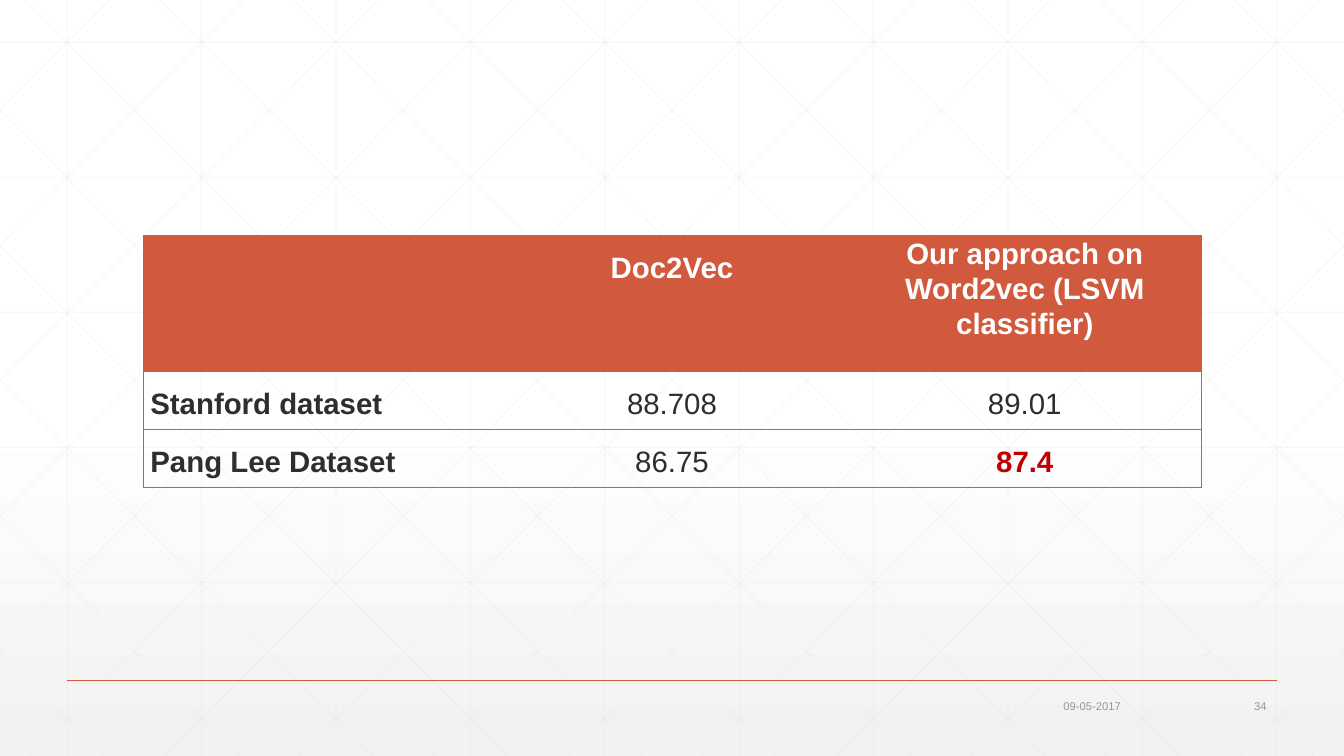
from lxml.etree import SubElement
from pptx import Presentation
from pptx.dml.color import RGBColor
from pptx.enum.shapes import MSO_CONNECTOR
from pptx.enum.text import MSO_ANCHOR, PP_ALIGN
from pptx.oxml.ns import qn
from pptx.util import Cm, Pt

WHITE = RGBColor(0xFF, 0xFF, 0xFF)
PALE_GREY = RGBColor(0xF2, 0xF2, 0xF2)
LATTICE_GREY = RGBColor(0xD9, 0xD9, 0xD9)
FOOTER_GREY = RGBColor(0x95, 0x97, 0x95)
INK = RGBColor(0x2D, 0x2E, 0x2D)
ORANGE = RGBColor(0xD1, 0x5A, 0x3E)
RED = RGBColor(0xC0, 0x00, 0x00)

WIDTH, HEIGHT = 33.87, 19.05
PLAIN_TABLE_STYLE = "{2D5ABB26-0587-4C30-8999-92F81FD0307C}"

ROWS = [
    ["", "Doc2Vec", "Our approach on Word2vec (LSVM classifier)"],
    ["Stanford dataset", "88.708", "89.01"],
    ["Pang Lee Dataset", "86.75", "87.4"],
]


def write_text(frame, text, size, color, bold=False, align=PP_ALIGN.LEFT, spacing=1.0):
    frame.word_wrap = True
    paragraph = frame.paragraphs[0]
    paragraph.alignment = align
    paragraph.line_spacing = spacing
    run = paragraph.add_run()
    run.text = text
    run.font.name = "Arial"
    run.font.size = Pt(size)
    run.font.bold = bold
    run.font.color.rgb = color


def add_line(shapes, start, end, color, width, opacity=100):
    points = [Cm(length) for length in (*start, *end)]
    connector = shapes.add_connector(MSO_CONNECTOR.STRAIGHT, *points)
    connector.line.color.rgb = color
    connector.line.width = Pt(width)
    properties = connector.element.spPr
    if opacity < 100:
        fill_color = next(properties.iter(qn("a:srgbClr")))
        SubElement(fill_color, qn("a:alpha"), val=str(opacity * 1000))
    SubElement(properties, qn("a:effectLst"))


def set_background(slide):
    fill = slide.background.fill
    fill.gradient()
    fill.gradient_angle = 270
    for stop, position, color in zip(fill.gradient_stops, (0.53, 1), (WHITE, PALE_GREY)):
        stop.position = position
        stop.color.rgb = color


def clip_diagonal(top_x, run, width, height):
    slope = height / run
    left = max(top_x, 0)
    right = min(top_x + run, width)
    return (left, (left - top_x) * slope), (right, (right - top_x) * slope)


def add_lattice(slide, left, top, width, height):
    pitch = width / 10
    segments = []
    for column in range(10):
        x = (column + 0.5) * pitch
        segments.append(((x, 0), (x, height)))
    for row in range(6):
        y = 1.07 + row * 3.4
        segments.append(((0, y), (width, y)))
    for step in range(-5, 10):
        start, end = clip_diagonal(0.63 + step * pitch, 18.93, width, height)
        segments.append((start, end))
        segments.append(((width - start[0], start[1]), (width - end[0], end[1])))
    group = slide.shapes.add_group_shape()
    for start, end in segments:
        add_line(group.shapes, (left + start[0], top + start[1]),
                 (left + end[0], top + end[1]), LATTICE_GREY, 0.5, opacity=25)


def set_borders(cell, sides):
    properties = cell._tc.get_or_add_tcPr()
    for side in sides:
        line = SubElement(properties, qn("a:ln" + side), w=str(Pt(0.5)))
        fill = SubElement(line, qn("a:solidFill"))
        SubElement(fill, qn("a:srgbClr"), val=str(ORANGE))


def format_cell(cell, text, row, column):
    header = row == 0
    best = text == "87.4"
    cell.margin_left = cell.margin_right = Cm(0.19)
    cell.margin_top = cell.margin_bottom = 0
    sides = "L" if column == 0 else "R" if column == 2 else ""
    set_borders(cell, sides + ("T" if header else "TB"))
    if header:
        cell.fill.solid()
        cell.fill.fore_color.rgb = ORANGE
    else:
        cell.fill.background()
    if text:
        write_text(cell.text_frame, text, 21,
                   WHITE if header else RED if best else INK,
                   bold=header or column == 0 or best,
                   align=PP_ALIGN.JUSTIFY if column == 0 else PP_ALIGN.CENTER,
                   spacing=1.07 if header and column == 2 else 1.5)


def add_results_table(slide, left, top, width, height):
    shape = slide.shapes.add_table(3, 3, Cm(left), Cm(top), Cm(width), Cm(height))
    next(shape.element.iter(qn("a:tableStyleId"))).text = PLAIN_TABLE_STYLE
    table = shape.table
    table.horz_banding = False
    body_height = 1.46
    for row, height_share in zip(table.rows, (height - 2 * body_height, body_height, body_height)):
        row.height = Cm(height_share)
    for row, texts in enumerate(ROWS):
        for column, text in enumerate(texts):
            format_cell(table.cell(row, column), text, row, column)


def add_footer(slide, left, top, width):
    add_line(slide.shapes, (left, top), (left + width, top), ORANGE, 1)
    right = left + width
    for text, box_right, box_width in (("09-05-2017", right - 3.67, 2.69), ("34", right, 2.54)):
        box = slide.shapes.add_textbox(
            Cm(box_right - box_width), Cm(top + 0.34), Cm(box_width), Cm(0.61))
        box.text_frame.vertical_anchor = MSO_ANCHOR.MIDDLE
        write_text(box.text_frame, text, 8, FOOTER_GREY, align=PP_ALIGN.RIGHT)


def main():
    presentation = Presentation()
    presentation.slide_width = Cm(WIDTH)
    presentation.slide_height = Cm(HEIGHT)
    slide = presentation.slides.add_slide(presentation.slide_layouts.get_by_name("Blank"))
    set_background(slide)
    add_lattice(slide, 0, 0, WIDTH, HEIGHT)
    add_footer(slide, 1.69, 17.14, 30.48)
    add_results_table(slide, 3.6, 5.94, 26.67, 6.34)
    presentation.save("out.pptx")


if __name__ == "__main__":
    main()
